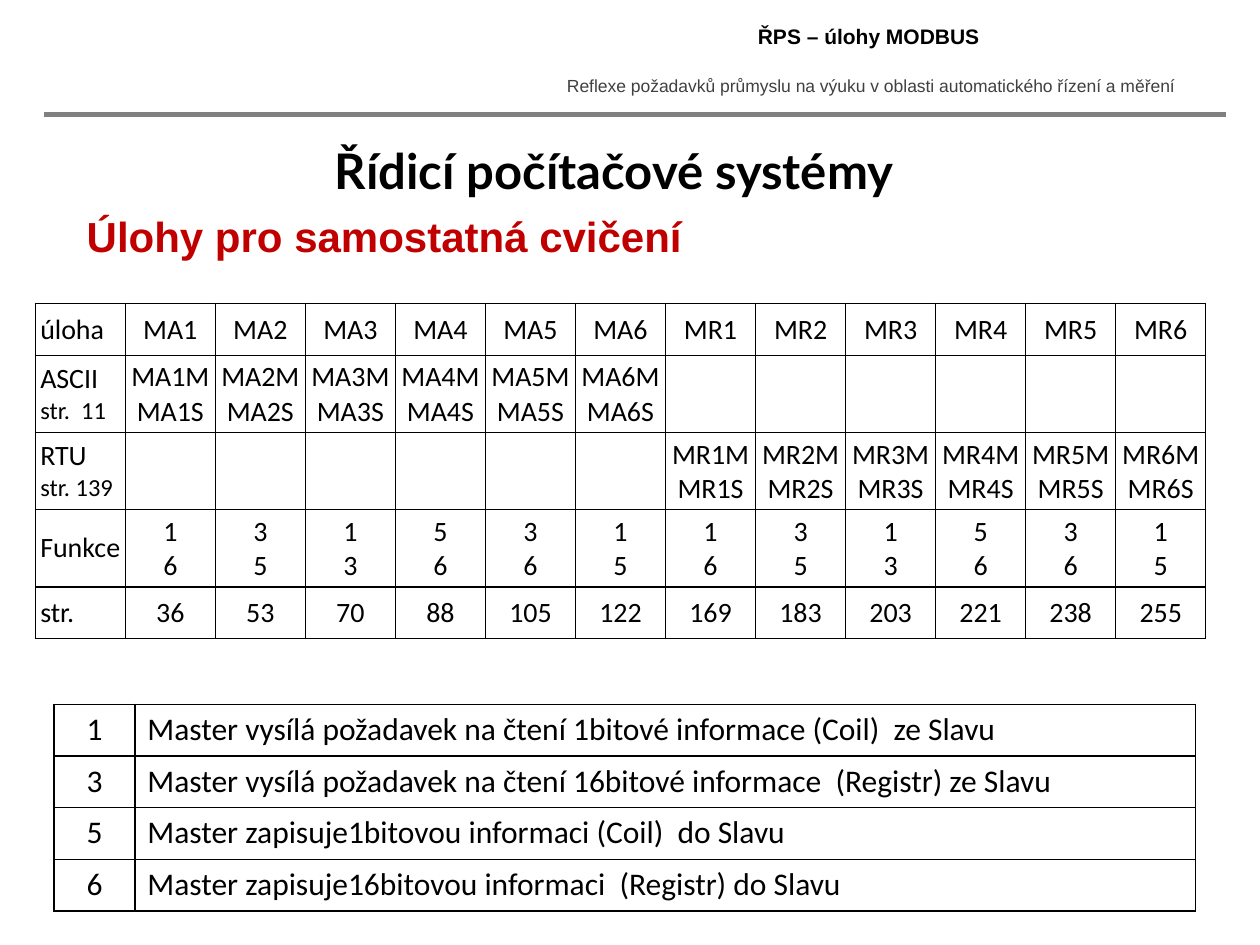
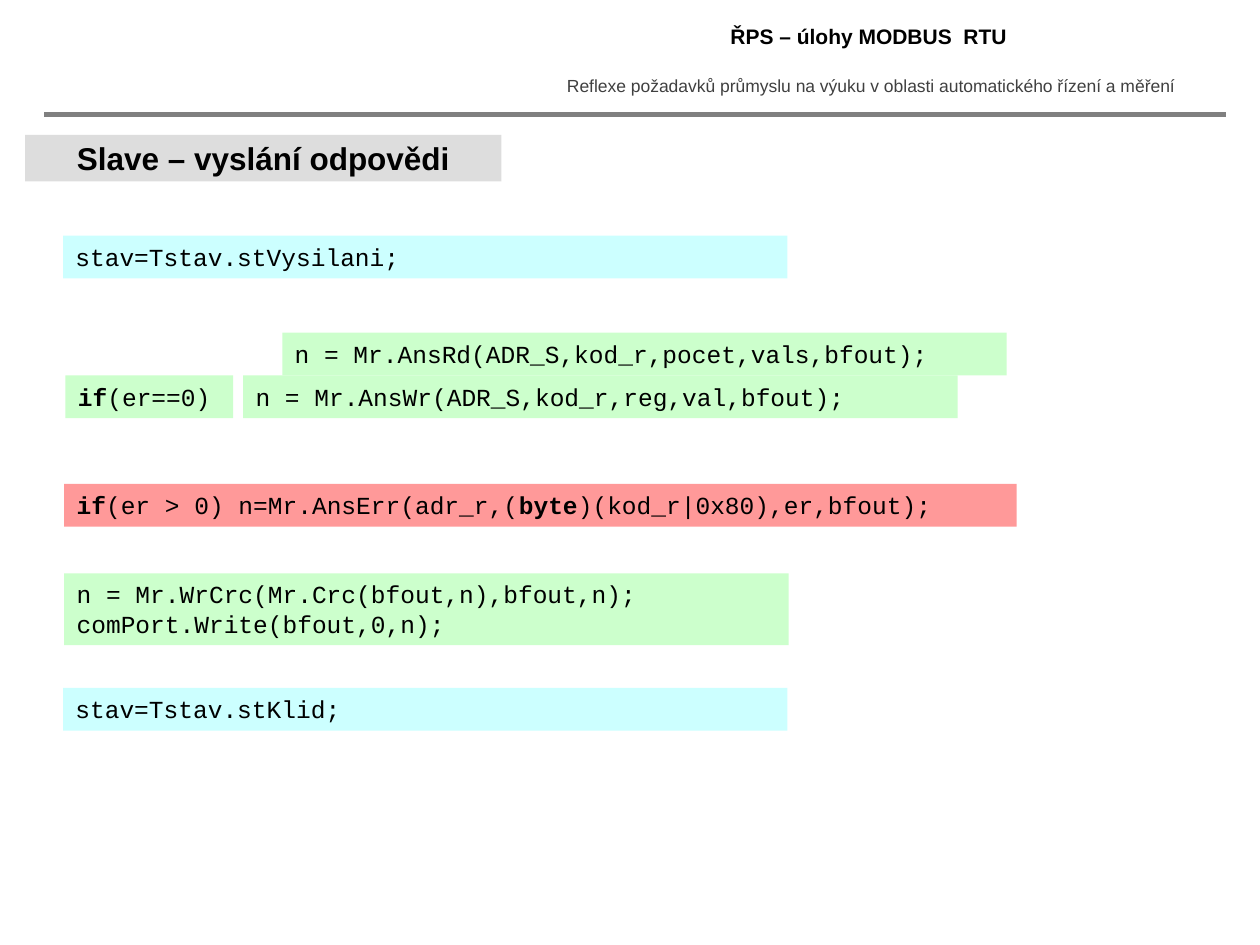
from lxml import etree
from pptx import Presentation
from pptx import util as u
from pptx.dml.color import RGBColor
from pptx.enum import shapes, text
from pptx.oxml import ns

# Content: text runs are (text, bold) pairs
PROJECT = "Reflexe požadavků průmyslu na výuku v oblasti automatického řízení a měření"
HEADINGS = ["ŘPS – úlohy MODBUS", "ŘPS – úlohy MODBUS  RTU"]
COURSE = "Řídicí počítačové systémy"
TOPIC = "Úlohy pro samostatná cvičení"
ANSWER_TITLE = "Slave – vyslání odpovědi"

ASCII_TASKS = [f"MA{n}" for n in range(1, 7)]
RTU_TASKS = [f"MR{n}" for n in range(1, 7)]
FUNCTION_PAIRS = ["1\n6", "3\n5", "1\n3", "5\n6", "3\n6", "1\n5"]
PAGES = [36, 53, 70, 88, 105, 122, 169, 183, 203, 221, 238, 255]
NO_TASKS = [""] * 6


def master_slave(tasks):
    return [f"{task}M\n{task}S" for task in tasks]


TASK_ROWS = [
    ["úloha"] + ASCII_TASKS + RTU_TASKS,
    ["ASCII\nstr.  11"] + master_slave(ASCII_TASKS) + NO_TASKS,
    ["RTU\nstr. 139"] + NO_TASKS + master_slave(RTU_TASKS),
    ["Funkce"] + FUNCTION_PAIRS * 2,
    ["str."] + [str(page) for page in PAGES],
]
FUNCTION_ROWS = [
    ["1", "Master vysílá požadavek na čtení 1bitové informace (Coil)  ze Slavu"],
    ["3", "Master vysílá požadavek na čtení 16bitové informace  (Registr) ze Slavu"],
    ["5", "Master zapisuje1bitovou informaci (Coil)  do Slavu"],
    ["6", "Master zapisuje16bitovou informaci  (Registr) do Slavu"],
]
# Code blocks: left, top, width, fill, lines of runs
CODE_BLOCKS = [
    (0.5, 1.87, 5.75, "state", [[("stav=Tstav.stVysilani;", False)]]),
    (2.24, 2.64, 5.75, "answer", [[("n = Mr.AnsRd(ADR_S,kod_r,pocet,vals,bfout);", False)]]),
    (0.52, 2.98, 1.33, "answer", [[("if", True), ("(er==0)", False)]]),
    (1.93, 2.98, 5.67, "answer", [[("n = Mr.AnsWr(ADR_S,kod_r,reg,val,bfout);", False)]]),
    (0.51, 3.84, 7.56, "error", [[("if", True), ("(er > 0) n=Mr.AnsErr(adr_r,(", False),
                                  ("byte", True), (")(kod_r|0x80),er,bfout);", False)]]),
    (0.51, 4.55, 5.75, "answer", [[("n = Mr.WrCrc(Mr.Crc(bfout,n),bfout,n);", False)],
                                  [("comPort.Write(bfout,0,n);", False)]]),
    (0.5, 5.46, 5.75, "state", [[("stav=Tstav.stKlid;", False)]]),
]

# Shared formats
COLORS = {"ink": "000000", "project": "404040", "rule": "808080", "topic": "C00000",
          "title_band": "DDDDDD", "state": "CCFFFF", "answer": "CCFFCC", "error": "FF9999"}
FONTS = {
    "project": {"name": "Arial", "size": u.Pt(10)},
    "heading": {"name": "Arial", "size": u.Pt(12), "bold": True},
    "course": {"name": "Lato", "size": u.Pt(28), "bold": True},
    "topic": {"name": "Arial", "size": u.Pt(24), "bold": True},
    "band": {"name": "Arial", "size": u.Pt(18), "bold": True},
    "code": {"name": "Courier New", "size": u.Pt(14)},
    "task": {"name": "Calibri", "size": u.Pt(16)},
    "page_ref": {"name": "Calibri", "size": u.Pt(14)},
    "function": {"name": "Calibri", "size": u.Pt(18)},
}
LEFT, CENTER = text.PP_ALIGN.LEFT, text.PP_ALIGN.CENTER
TOP, MIDDLE = text.MSO_ANCHOR.TOP, text.MSO_ANCHOR.MIDDLE
LINE_ROW, PAIR_ROW = 0.41, 0.61


def rgb(color):
    return RGBColor.from_string(COLORS[color])


def set_all(target, values):
    for attribute, value in values.items():
        setattr(target, attribute, value)


def write_line(paragraph, runs, font, color="ink", align=LEFT):
    paragraph.alignment = align
    for words, bold in runs:
        run = paragraph.add_run()
        run.text = words
        set_all(run.font, {"bold": bold, **FONTS[font]})
        run.font.color.rgb = rgb(color)


def next_paragraph(frame, index):
    return frame.add_paragraph() if index else frame.paragraphs[0]


def add_label(slide, box, words, font, color="ink", align=LEFT, wrap=True):
    frame = slide.shapes.add_textbox(*map(u.Inches, box)).text_frame
    frame.word_wrap = wrap
    write_line(frame.paragraphs[0], [(words, False)], font, color, align)


def add_band(slide, box, fill, lines, font, align=LEFT, anchor=TOP, wrap=True):
    band = slide.shapes.add_shape(shapes.MSO_SHAPE.RECTANGLE, *map(u.Inches, box))
    band.shadow.inherit = False
    band.fill.solid()
    band.fill.fore_color.rgb = rgb(fill)
    band.line.fill.background()
    set_all(band.text_frame, {"word_wrap": wrap, "vertical_anchor": anchor})
    for index, runs in enumerate(lines):
        write_line(next_paragraph(band.text_frame, index), runs, font, align=align)


def border_cell(cell):
    properties = cell._tc.get_or_add_tcPr()
    for side in ("lnL", "lnR", "lnT", "lnB"):
        edge = etree.SubElement(properties, ns.qn(f"a:{side}"), w=str(u.Pt(1)))
        fill = etree.SubElement(edge, ns.qn("a:solidFill"))
        etree.SubElement(fill, ns.qn("a:srgbClr"), val=COLORS["ink"])
    cell.fill.background()


def add_grid(slide, left, top, widths, heights, rows, cell_format, style):
    """style(row, column, line) gives the font and alignment of a cell line."""
    box = map(u.Inches, (left, top, sum(widths), sum(heights)))
    grid = slide.shapes.add_table(len(rows), len(widths), *box).table
    set_all(grid, {"first_row": False, "horz_banding": False})
    for column, width in zip(grid.columns, widths):
        column.width = u.Inches(width)
    for row, height in zip(grid.rows, heights):
        row.height = u.Inches(height)
    for r, row in enumerate(rows):
        for c, words in enumerate(row):
            cell = grid.cell(r, c)
            set_all(cell, cell_format)
            border_cell(cell)
            for index, line in enumerate(words.split("\n") if words else []):
                font, align = style(r, c, index)
                write_line(next_paragraph(cell.text_frame, index), [(line, False)],
                           font, align=align)


def add_page(deck, heading):
    slide = deck.slides.add_slide(deck.slide_layouts[6])
    add_label(slide, (4.3, 0.55, 5.22, 0.27), PROJECT, "project", "project", CENTER)
    add_label(slide, (4.28, 0.14, 5.23, 0.31), heading, "heading", align=CENTER)
    rule = slide.shapes.add_connector(shapes.MSO_CONNECTOR.STRAIGHT,
                                      *map(u.Inches, (0.35, 0.91, 9.73, 0.91)))
    rule.line.color.rgb = rgb("rule")
    rule.line.width = u.Pt(3)
    etree.SubElement(rule._element.spPr, ns.qn("a:effectLst"))
    return slide


def task_style(row, column, line):
    return ("page_ref" if column == 0 and line else "task", CENTER if column else LEFT)


def function_style(row, column, line):
    return "function", LEFT if column else CENTER


def build_tasks(deck):
    slide = add_page(deck, HEADINGS[0])
    add_label(slide, (0.59, 1.62, 5.06, 0.5), TOPIC, "topic", "topic", wrap=False)
    add_label(slide, (2.56, 1.07, 5.23, 0.57), COURSE, "course", wrap=False)
    margins = {f"margin_{side}": u.Inches(0.04) for side in ("left", "right", "top", "bottom")}
    heights = [PAIR_ROW if any("\n" in words for words in row) else LINE_ROW
               for row in TASK_ROWS]
    add_grid(slide, 0.28, 2.41, [9.29 / 13] * 13, heights, TASK_ROWS,
             {"vertical_anchor": MIDDLE, **margins}, task_style)
    add_grid(slide, 0.43, 5.59, [0.64, 8.42], [LINE_ROW] * 4, FUNCTION_ROWS,
             {"vertical_anchor": TOP}, function_style)


def build_answer(deck):
    slide = add_page(deck, HEADINGS[1])
    add_band(slide, (0.2, 1.07, 3.78, 0.37), "title_band", [[(ANSWER_TITLE, True)]],
             "band", CENTER, MIDDLE, wrap=False)
    for left, top, width, fill, lines in CODE_BLOCKS:
        height = 0.11 + 0.23 * len(lines)
        add_band(slide, (left, top, width, height), fill, lines, "code")


def main():
    deck = Presentation()
    set_all(deck, {"slide_width": u.Inches(10), "slide_height": u.Inches(7.5)})
    build_tasks(deck)
    build_answer(deck)
    deck.save("out.pptx")


if __name__ == "__main__":
    main()
